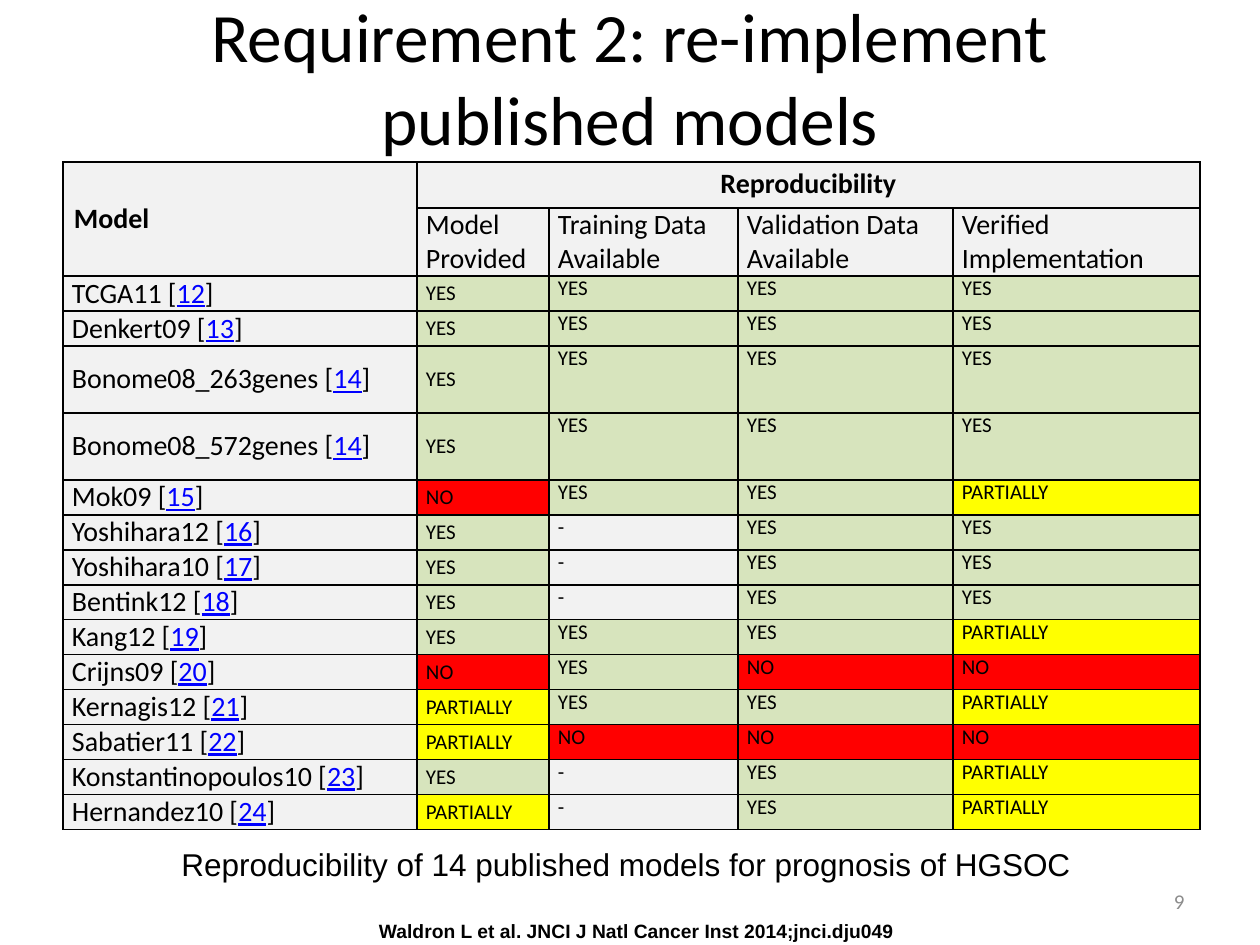
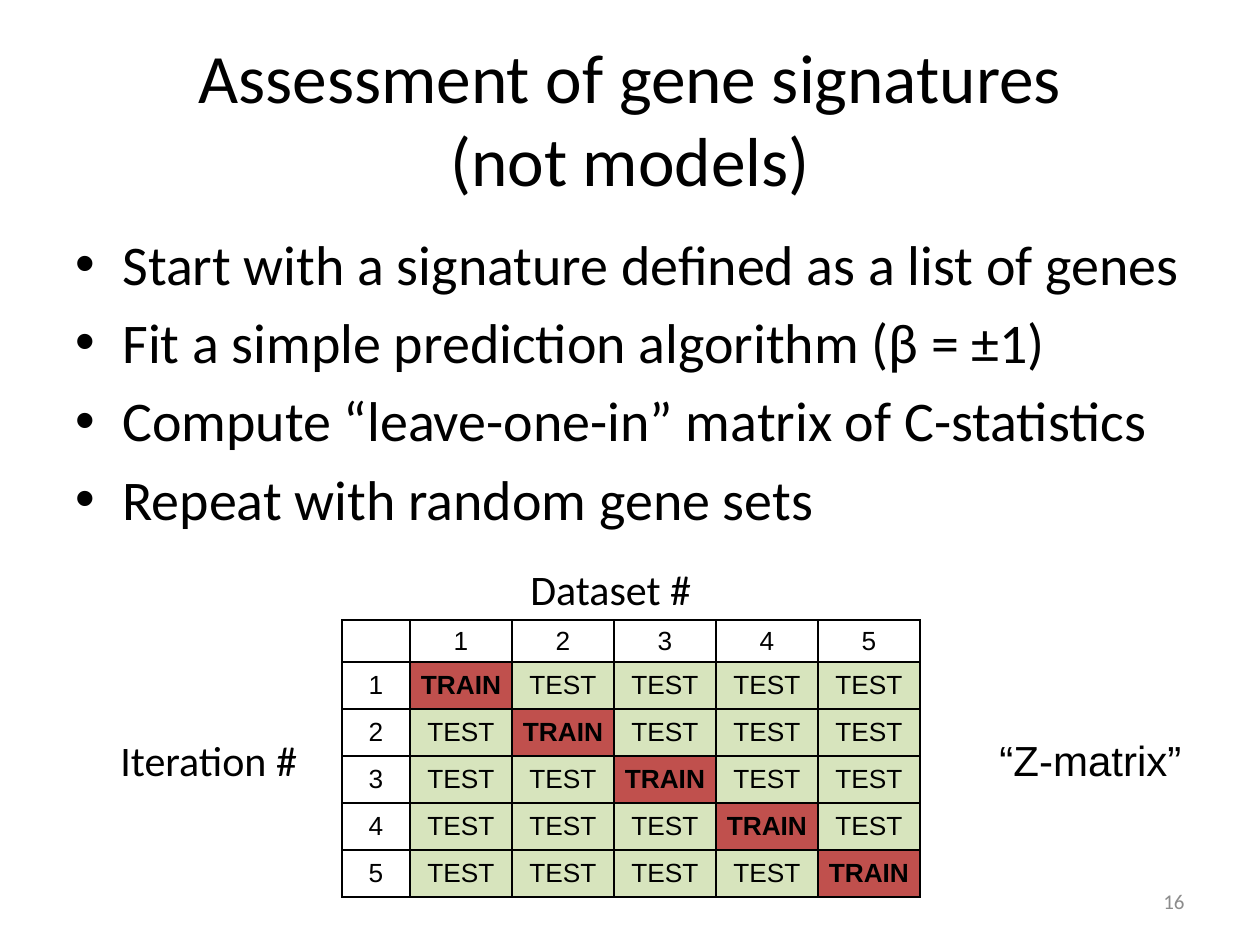
"""Build two slides on checking published gene models."""
from lxml.etree import SubElement
from pptx import Presentation
from pptx.dml.color import RGBColor
from pptx.enum.text import MSO_ANCHOR, MSO_AUTO_SIZE, PP_ALIGN
from pptx.oxml.ns import qn
from pptx.util import Pt

BLACK = RGBColor(0, 0, 0)
WHITE = RGBColor(255, 255, 255)
GREY = RGBColor(0x8C, 0x8C, 0x8C)
PALE = RGBColor(0xF2, 0xF2, 0xF2)
BLUE = RGBColor(0, 0, 255)
GREEN = RGBColor(0xD7, 0xE4, 0xBD)
RED = RGBColor(255, 0, 0)
YELLOW = RGBColor(255, 255, 0)
BRICK = RGBColor(0xC0, 0x50, 0x4D)

MARKS = {"YES": GREEN, "NO": RED, "PARTIALLY": YELLOW, "-": PALE}
HEADS = ["Model\nProvided", "Training Data\nAvailable",
         "Validation Data\nAvailable", "Verified\nImplementation"]
MODELS = [
    ("TCGA11", 12, "YES YES YES YES"),
    ("Denkert09", 13, "YES YES YES YES"),
    ("Bonome08_263genes", 14, "YES YES YES YES"),
    ("Bonome08_572genes", 14, "YES YES YES YES"),
    ("Mok09", 15, "NO YES YES PARTIALLY"),
    ("Yoshihara12", 16, "YES - YES YES"),
    ("Yoshihara10", 17, "YES - YES YES"),
    ("Bentink12", 18, "YES - YES YES"),
    ("Kang12", 19, "YES YES YES PARTIALLY"),
    ("Crijns09", 20, "NO YES NO NO"),
    ("Kernagis12", 21, "PARTIALLY YES YES PARTIALLY"),
    ("Sabatier11", 22, "PARTIALLY NO NO NO"),
    ("Konstantinopoulos10", 23, "YES - YES PARTIALLY"),
    ("Hernandez10", 24, "PARTIALLY - YES PARTIALLY"),
]
STEPS = """Start with a signature defined as a list of genes
Fit a simple prediction algorithm (β = ±1)
Compute “leave-one-in” matrix of C-statistics
Repeat with random gene sets"""
FOLDS = 5
LEFT, MID = PP_ALIGN.LEFT, PP_ALIGN.CENTER
TOP, HALF = MSO_ANCHOR.TOP, MSO_ANCHOR.MIDDLE


def px(count):
    """Turn px into EMU."""
    return round(count * 914400 / 126)


class Deck:
    """Hold the shared style and the current slide."""

    def __init__(self):
        self.deck = Presentation()
        self.deck.slide_width, self.deck.slide_height = px(1260), px(945)

    def start(self, title, top, number):
        """Add a slide with its title and number."""
        self.slide = self.deck.slides.add_slide(self.deck.slide_layouts[5])
        head = self.slide.shapes.title
        head.left, head.top, head.width, head.height = map(
            px, (63, top, 1134, 158))
        self.words(head.text_frame, title, 39.6, align=MID, anchor=HALF)
        head.text_frame.auto_size = MSO_AUTO_SIZE.NONE
        self.text((903, 876, 294, 50), number, 12, color=GREY,
                  align=PP_ALIGN.RIGHT, anchor=HALF)

    def words(self, frame, text, size, font="Calibri", color=BLACK,
              bold=False, align=LEFT, anchor=TOP, bullet=False):
        """Fill a frame with evenly styled paragraphs."""
        frame.word_wrap = True
        frame.vertical_anchor = anchor
        frame.text = text
        for spot, para in enumerate(frame.paragraphs):
            para.alignment = align
            if bullet:
                props = para._p.get_or_add_pPr()
                props.set("marL", str(px(47)))
                props.set("indent", str(-px(47)))
                if spot:
                    para.space_before = Pt(6.4)
                SubElement(props, qn("a:buFont"), typeface="Arial")
                SubElement(props, qn("a:buChar"), char="•")
            para.font.size, para.font.name = Pt(size), font
            para.font.bold, para.font.color.rgb = bold, color

    def text(self, box, text, size, inset=None, **style):
        """Add a text box."""
        frame = self.slide.shapes.add_textbox(*map(px, box)).text_frame
        if inset is not None:
            frame.margin_left = frame.margin_right = px(inset)
            frame.margin_top = frame.margin_bottom = px(inset)
        self.words(frame, text, size, **style)

    def table(self, left, top, cols, rows):
        """Add a plain table with the given sizes."""
        table = self.slide.shapes.add_table(
            len(rows), len(cols), px(left), px(top),
            px(sum(cols)), px(sum(rows))).table
        table.first_row = table.horz_banding = False
        for col, width in zip(table.columns, cols):
            col.width = px(width)
        for row, height in zip(table.rows, rows):
            row.height = px(height)
        for cell in table.iter_cells():
            self.edge(cell)
        return table

    def edge(self, cell):
        """Draw black lines round a cell."""
        props = cell._tc.get_or_add_tcPr()
        for side in ("lnL", "lnR", "lnT", "lnB"):
            line = SubElement(props, qn("a:" + side), w=str(Pt(1)))
            fill = SubElement(line, qn("a:solidFill"))
            SubElement(fill, qn("a:srgbClr"), val=str(BLACK))

    def cell(self, cell, text, size, fill, inset=(9, 0), anchor=TOP, **style):
        """Fill one cell."""
        cell.fill.solid()
        cell.fill.fore_color.rgb = fill
        self.words(cell.text_frame, text, size, **style)
        cell.vertical_anchor = anchor
        cell.margin_left = cell.margin_right = px(inset[0])
        cell.margin_top = cell.margin_bottom = px(inset[1])

    def cite(self, cell, name, ref):
        """Fill a model cell with its marked reference."""
        self.cell(cell, f"{name} [", 16, PALE, anchor=HALF)
        para = cell.text_frame.paragraphs[0]
        run = para.add_run()
        run.text = str(ref)
        run.font.color.rgb, run.font.underline = BLUE, True
        para.add_run().text = "]"


def models(deck):
    """Build the slide of published models."""
    deck.start("Requirement 2: re-implement published models", -3, "9")
    rows = [67 if "Bonome" in name else 35 for name, _, _ in MODELS]
    table = deck.table(63, 162, [354, 132, 189, 215, 247], [46, 68] + rows)
    table.cell(0, 0).merge(table.cell(1, 0))
    table.cell(0, 1).merge(table.cell(0, 4))
    deck.cell(table.cell(0, 0), "Model", 16, PALE, (11, 5), HALF, bold=True)
    deck.cell(table.cell(0, 1), "Reproducibility", 16, PALE, (11, 5),
              bold=True, align=MID)
    for col, head in enumerate(HEADS, 1):
        deck.cell(table.cell(1, col), head, 16, PALE,
                  anchor=HALF if col == 1 else TOP)
    for row, (name, ref, marks) in enumerate(MODELS, 2):
        deck.cite(table.cell(row, 0), name, ref)
        for col, mark in enumerate(marks.split(), 1):
            deck.cell(table.cell(row, col), mark, 12, MARKS[mark],
                      anchor=HALF if col == 1 else TOP)
    deck.text((169, 839, 922, 50),
              "Reproducibility of 14 published models for prognosis of HGSOC",
              18, font="Arial")
    deck.text((379, 919, 541, 31),
              "Waldron L et al. JNCI J Natl Cancer Inst 2014;jnci.dju049",
              11, inset=0, font="Arial", bold=True)


def genes(deck):
    """Build the slide of gene signatures."""
    deck.start("Assessment of gene signatures\v(not models)", 38, "16")
    deck.text((63, 223, 1134, 330), STEPS, 32, bullet=True)
    deck.text((108, 728, 205, 63), "Iteration #", 24)
    deck.text((518, 557, 190, 63), "Dataset #", 24)
    table = deck.table(342, 620, [68] + [102] * FOLDS, [42] + [47] * FOLDS)
    for row in range(FOLDS + 1):
        for col in range(FOLDS + 1):
            train = row == col and row > 0
            if row and col:
                word = "TRAIN" if train else "TEST"
                fill = BRICK if train else GREEN
            else:
                word, fill = str(row or col or ""), WHITE
            deck.cell(table.cell(row, col), word, 15, fill, (10, 5), HALF,
                      font="Arial", bold=train, align=MID)
    deck.text((987, 728, 210, 63), "“Z-matrix”", 24, font="Arial")


def main():
    """Build and save the deck."""
    deck = Deck()
    models(deck)
    genes(deck)
    deck.deck.save("out.pptx")


if __name__ == "__main__":
    main()
